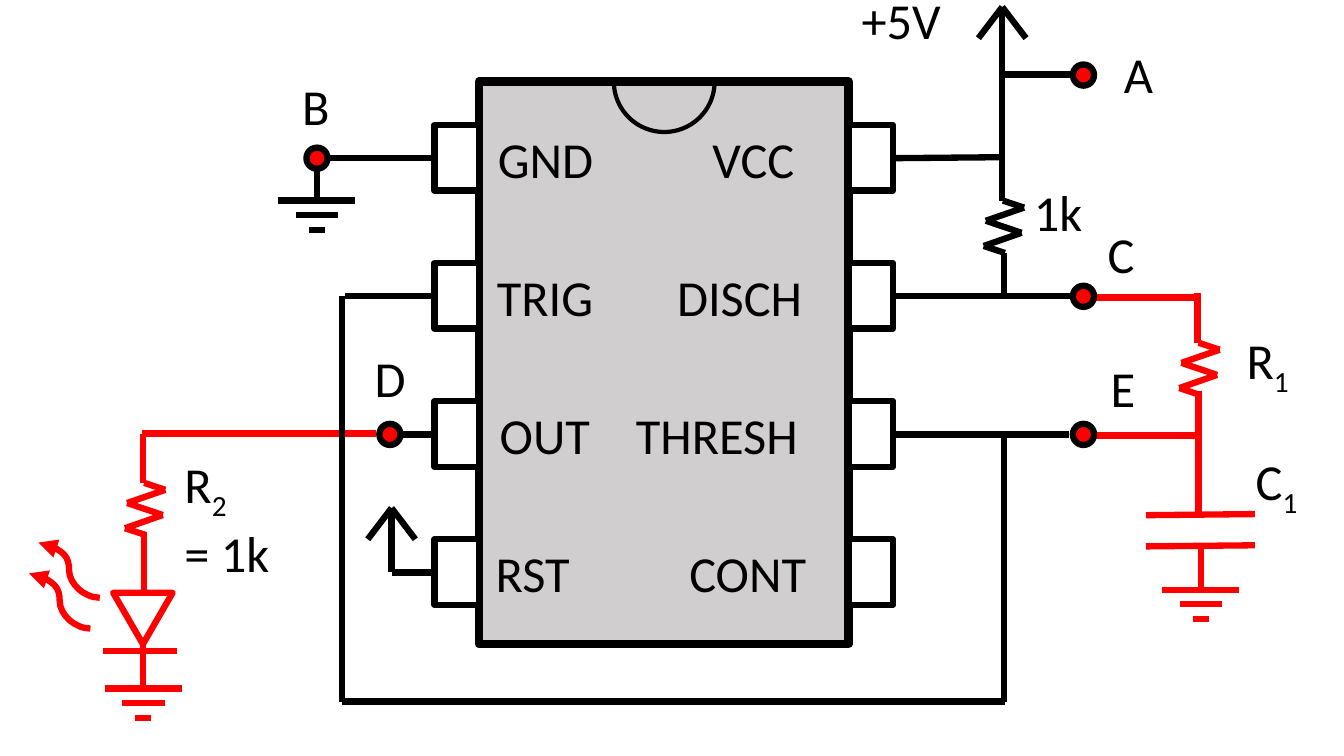
from itertools import pairwise

from lxml.etree import SubElement
from pptx import Presentation
from pptx.dml.color import RGBColor
from pptx.enum.shapes import MSO_CONNECTOR, MSO_SHAPE
from pptx.oxml.ns import qn
from pptx.util import Pt

BLACK = RGBColor(0, 0, 0)
RED = RGBColor(255, 0, 0)
WHITE = RGBColor(255, 255, 255)
GREY = RGBColor(0xD0, 0xCE, 0xCE)

ROW_PITCH = 98.64
GND_ROW, TRIG_ROW, OUT_ROW, RST_ROW = [113 + ROW_PITCH * row for row in range(4)]


class Circuit:
    font = "Calibri"
    size = 36
    wire_width = 4.5
    label_height = 50.4
    node_size = 15.1

    def __init__(self, slide):
        self.shapes = slide.shapes

    def line(self, start, end, color=BLACK, kind=MSO_CONNECTOR.STRAIGHT, arrow=False):
        connector = self.shapes.add_connector(kind, *map(Pt, (*start, *end)))
        connector.line.color.rgb = color
        connector.line.width = Pt(self.wire_width)
        properties = connector._element.spPr
        if arrow:
            SubElement(connector.line._get_or_add_ln(), qn("a:tailEnd"), type="triangle")
        SubElement(properties, qn("a:effectLst"))

    def wire(self, *points, color=BLACK):
        for start, end in pairwise(points):
            self.line(start, end, color)

    def shape(self, kind, left, top, width, height, fill=None, color=BLACK, weight=4.5):
        shape = self.shapes.add_shape(kind, *map(Pt, (left, top, width, height)))
        shape.shadow.inherit = False
        if fill is None:
            shape.fill.background()
        else:
            shape.fill.solid()
            shape.fill.fore_color.rgb = fill
        shape.line.color.rgb = color
        shape.line.width = Pt(weight)
        return shape

    def label(self, left, top, width, *lines):
        height = self.label_height * len(lines)
        frame = self.shapes.add_textbox(*map(Pt, (left, top, width, height))).text_frame
        frame.word_wrap = True
        for index, (text, subscript) in enumerate(lines):
            paragraph = frame.add_paragraph() if index else frame.paragraphs[0]
            paragraph.font.name = self.font
            paragraph.font.size = Pt(self.size)
            paragraph.font.color.rgb = BLACK
            paragraph.add_run().text = text
            if subscript:
                run = paragraph.add_run()
                run.text = subscript
                run._r.get_or_add_rPr().set("baseline", "-25000")

    def node(self, x, y):
        radius = self.node_size / 2
        self.shape(MSO_SHAPE.OVAL, x - radius, y - radius, self.node_size, self.node_size, RED)

    def resistor(self, x, y, color=BLACK):
        zigzag = [(0, 0), (15.1, 5), (-12.2, 14.4), (13.3, 23), (-13.7, 32.4), (1.4, 37.4)]
        self.wire(*[(x + dx, y + dy) for dx, dy in zigzag], color=color)

    def ground(self, x, y, color=BLACK):
        self.line((x, y - 30.2), (x, y), color)
        for half, drop in [(27.5, 0), (15.2, 10.2), (5.8, 20.9)]:
            self.line((x - half, y + drop), (x + half, y + drop), color)

    def supply(self, x, y, bottom):
        self.line((x, y), (x, bottom))
        for dx in (-17, 17):
            self.line((x, y), (x + dx, y + 22.3))


presentation = Presentation()
presentation.slide_width, presentation.slide_height = Pt(960), Pt(540)
circuit = Circuit(presentation.slides.add_slide(presentation.slide_layouts[6]))

circuit.line((781.9, 212.4), (856.8, 212.4), RED)
circuit.line((855.4, 209.5), (855.4, 244.8), RED)
circuit.resistor(856.1, 244.8, RED)
circuit.line((856.1, 279.4), (856.1, 367.2), RED)
circuit.line((770.4, 311), (857.5, 311), RED)
for plate in (367.6, 389.9):
    circuit.line((818.6, plate + 0.4), (896.4, plate - 0.4), RED)
circuit.ground(857.8, 421.2, RED)
circuit.label(883.4, 231.8, 52.6, ("R", "1"))
circuit.label(889.9, 318.2, 52.6, ("C", "1"))

circuit.line((101.5, 309.6), (268.6, 309.6), RED)
circuit.line((102.2, 310.3), (102.2, 344.9), RED)
circuit.resistor(103, 344.9, RED)
circuit.line((103, 380.2), (103, 421.2), RED)
led = circuit.shape(MSO_SHAPE.ISOSCELES_TRIANGLE, 80.8, 423.4, 42.5, 36.7, color=RED)
led.rotation = 180
circuit.line((73.4, 465.1), (126.7, 465.1), RED)
circuit.ground(102.4, 491.8, RED)
for x, y in [(71.3, 427), (64.6, 449)]:
    circuit.line((x, y), (x - 43.9, y - 39.4), RED, MSO_CONNECTOR.CURVE, arrow=True)
circuit.label(124.6, 320.4, 99.4, ("R", "2"), ("= 1k", ""))

circuit.shape(MSO_SHAPE.RECTANGLE, 342, 58.3, 264.2, 401.8, GREY, weight=6)
for pin_left in (310.3, 606.2):
    for row in range(4):
        circuit.shape(
            MSO_SHAPE.RECTANGLE, pin_left, 89.3 + ROW_PITCH * row, 31.7, 46.8, WHITE)
notch = circuit.shape(MSO_SHAPE.PIE, 438.5, 22.3, 72, 72, weight=3)
notch.adjustments[0], notch.adjustments[1] = 0, 107.25

left_pins = [("GND", 348.5, 96.5), ("TRIG", 347.8, 99.4), ("OUT", 349.9, 90.7),
             ("RST", 347, 85.7)]
right_pins = [("VCC", 501.8, 88.6), ("DISCH", 476.6, 127.4), ("THRESH", 447.1, 160.6),
              ("CONT", 485.3, 116.6)]
for pins in (left_pins, right_pins):
    for row, (name, left, width) in enumerate(pins):
        circuit.label(left, 87.8 + ROW_PITCH * row, width, (name, ""))

circuit.line((637.9, GND_ROW), (715.7, 112.3))
circuit.resistor(716.4, 143.3)
circuit.line((717.1, 180.7), (717.1, TRIG_ROW))
circuit.line((637.9, TRIG_ROW), (766.8, TRIG_ROW))
circuit.line((310.3, GND_ROW), (227.5, GND_ROW))
circuit.ground(226.4, 143.3)
circuit.line((715.7, 53.3), (781.9, 53.3))
circuit.line((310.3, TRIG_ROW), (246.2, TRIG_ROW))
circuit.wire((244.1, TRIG_ROW), (244.1, 501.1), (717.8, 501.1))
circuit.line((637.9, OUT_ROW), (763.9, OUT_ROW))
circuit.line((717.1, OUT_ROW), (717.1, 501.1))
circuit.line((310.3, OUT_ROW), (277.9, OUT_ROW))
circuit.line((310.3, RST_ROW), (280.1, RST_ROW))
circuit.supply(715.9, 5, 143.3)
circuit.supply(279.7, 362.9, RST_ROW)

test_points = [
    ("A", (773.9, 53.6), (795.6, 27.4)),
    ("B", (226.4, GND_ROW), (208.8, 50.4)),
    ("C", (773.9, TRIG_ROW), (784.1, 156.2)),
    ("D", (278.5, OUT_ROW), (260.6, 244.1)),
    ("E", (773.9, OUT_ROW), (786.2, 251.3)),
]
for name, center, corner in test_points:
    circuit.node(*center)
    circuit.label(*corner, 40, (name, ""))
circuit.label(731.5, 126, 57.6, ("1k", ""))
circuit.label(608.4, -11.5, 96.5, ("+5V", ""))

presentation.save("out.pptx")
